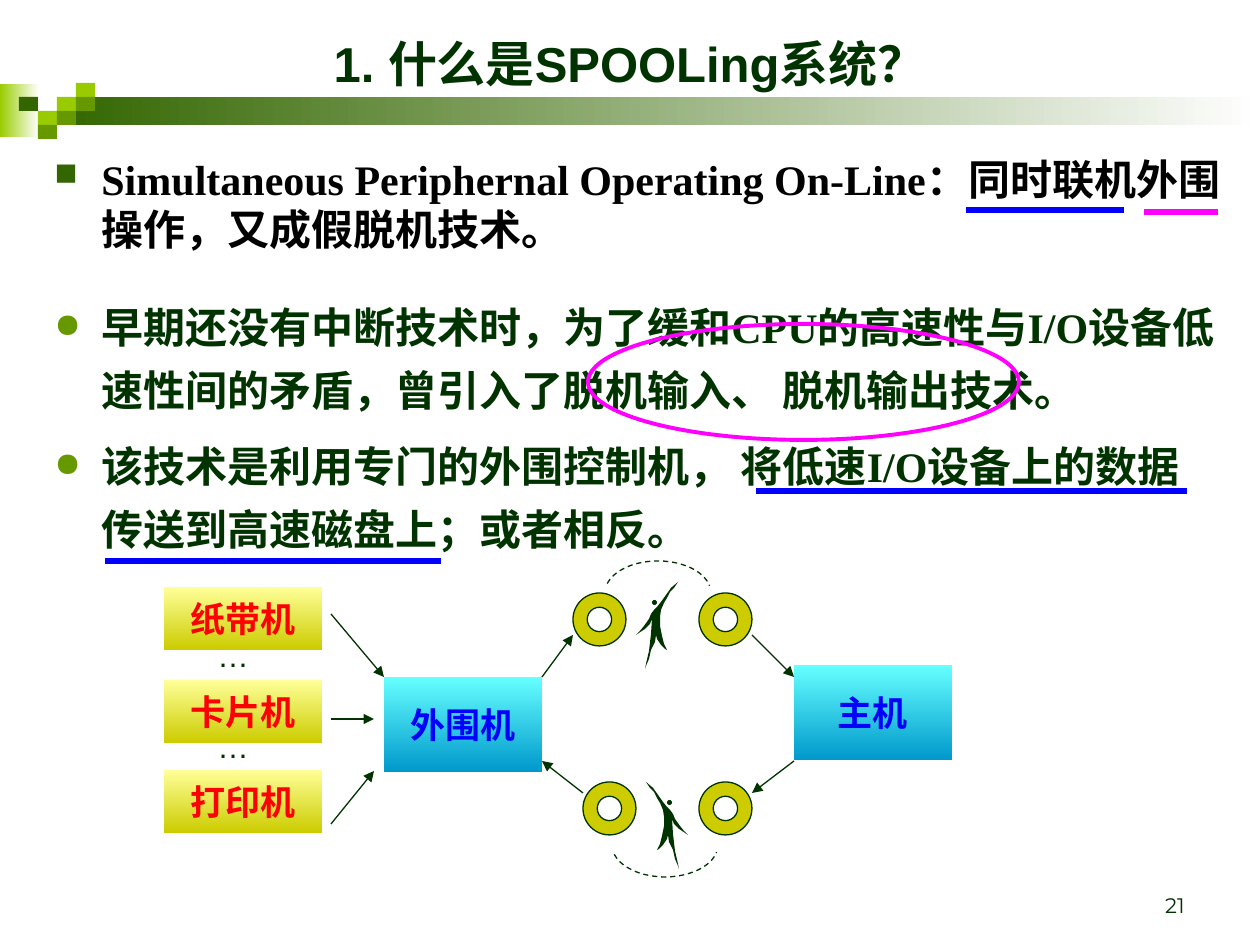
from math import cos, radians, sin
from lxml.etree import SubElement
from pptx import Presentation
from pptx.dml.color import RGBColor
from pptx.enum.dml import MSO_LINE
from pptx.enum.shapes import MSO_CONNECTOR, MSO_SHAPE as SHAPE
from pptx.enum.text import MSO_ANCHOR as ANCHOR, PP_ALIGN as ALIGN
from pptx.oxml.ns import qn
from pptx.util import Pt

PX = 914400 / 126
DARK, BLUE, PINK = "003300", "0000FF", "FF00FF"
OLIVE, LIME, GREEN = "336600", "99CC00", "669900"
HEAD = dict(name="Arial", size=Pt(28), bold=True)
LABEL = dict(name="Arial", size=Pt(20), bold=True)
BODY = dict(name="Times New Roman", size=Pt(24), bold=True)
DOTS = dict(name="Arial", size=Pt(18))
PAGE = dict(name="Montserrat", size=Pt(12))

# Body outline of a leaping person, in a 42 by 87 box
MAN = [(42, 0), (40, 3), (38, 6), (34, 10), (31, 16), (28, 21), (25, 28), (24, 35),
       (24, 44), (26, 54), (28, 62), (31, 68), (29, 67), (25, 63), (21, 57), (20, 53),
       (19, 60), (15, 68), (13, 77), (10, 84), (9, 87), (10, 82), (13, 69), (15, 52),
       (16, 37), (14, 42), (9, 47), (0, 53), (4, 49), (8, 44), (13, 37), (15, 32),
       (18, 28), (21, 25), (25, 20), (30, 13), (35, 6)]


def px(*vals):
    return [round(v * PX) for v in vals]


def color(code):
    return RGBColor.from_string(code)


def paint(shape, fill=None, line=None, width=0.75):
    """Fill with one colour, or with (first, last, angle) as a gradient."""
    shape.shadow.inherit = False
    if fill is None:
        shape.fill.background()
    elif isinstance(fill, tuple):
        shape.fill.gradient()
        shape.fill.gradient_angle = fill[2]
        for stop, code in zip(shape.fill.gradient_stops, fill):
            stop.color.rgb = color(code)
    else:
        shape.fill.solid()
        shape.fill.fore_color.rgb = color(fill)
    if line:
        shape.line.color.rgb = color(line)
        shape.line.width = Pt(width)
    else:
        shape.line.fill.background()
    return shape


def draw(slide, kind, box, **look):
    return paint(slide.shapes.add_shape(kind, *px(*box)), **look)


def outline(slide, pts, close, **look):
    pts = [(x * 10, y * 10) for x, y in pts]
    pen = slide.shapes.build_freeform(*pts[0], scale=PX / 10)
    pen.add_line_segments(pts[1:], close=close)
    return paint(pen.convert_to_shape(), **look)


def stroke(slide, start, end, code, width, arrow=False):
    line = slide.shapes.add_connector(MSO_CONNECTOR.STRAIGHT, *px(*start, *end))
    line.line.color.rgb = color(code)
    line.line.width = Pt(width)
    if arrow:
        SubElement(line.line._get_or_add_ln(), qn("a:tailEnd"), type="triangle")
    SubElement(line._element.spPr, qn("a:effectLst"))


def style(para, font, code, align=None):
    para.alignment = align
    for key, val in font.items():
        setattr(para.font, key, val)
    para.font.color.rgb = color(code)


def write(shape, text, font, code, align=None, anchor=ANCHOR.TOP, wrap=True):
    frame = shape.text_frame
    frame.word_wrap = wrap
    frame.vertical_anchor = anchor
    frame.text = text
    for para in frame.paragraphs:
        style(para, font, code, align)


def bullets(slide, box, items, mark, tint, pct, code, gap=None, space=None):
    frame = slide.shapes.add_textbox(*px(*box)).text_frame
    frame.word_wrap = True
    frame.text = "\n".join(items)
    for i, para in enumerate(frame.paragraphs):
        para.line_spacing = space
        if i:
            para.space_before = gap
        props = para._p.get_or_add_pPr()
        left, = px(47)
        props.set("marL", str(left))
        props.set("indent", str(-left))
        SubElement(SubElement(props, qn("a:buClr")), qn("a:srgbClr"), val=tint)
        SubElement(props, qn("a:buSzPct"), val=str(pct * 1000))
        SubElement(props, qn("a:buChar"), char=mark)
        style(para, BODY, code)


def banner(slide, x, y):
    draw(slide, SHAPE.RECTANGLE, (x, y + 1, 39, 53), fill=(LIME, "FFFFFF", 0))
    draw(slide, SHAPE.RECTANGLE, (x + 57, y + 14, 1203, 28), fill=(OLIVE, "FFFFFF", 0))
    cells = [(3, 1, LIME), (4, 0, LIME), (4, 1, GREEN), (2, 2, LIME),
             (1, 1, OLIVE), (3, 2, GREEN), (2, 3, GREEN)]
    for col, row, code in cells:
        draw(slide, SHAPE.RECTANGLE, (x + 19 * col, y + 14 * row, 19, 14), fill=code)


def heading(slide, box):
    title = slide.shapes.title
    title.left, title.top, title.width, title.height = px(*box)
    write(title, "1. 什么是SPOOLing系统？", HEAD, DARK, ALIGN.CENTER, ANCHOR.MIDDLE)


def notes(slide, x, y):
    bullets(slide, (x, y, 1218, 665),
            ["Simultaneous Periphernal Operating On-Line：同时联机外围操作，又成假脱机技术。"],
            "■", OLIVE, 75, "000000")
    bullets(slide, (x, y + 136, 1187, 273),
            ["早期还没有中断技术时，为了缓和CPU的高速性与I/O设备低速性间的矛盾，"
             "曾引入了脱机输入、 脱机输出技术。",
             "该技术是利用专门的外围控制机， 将低速I/O设备上的数据传送到高速磁盘上；或者相反。"],
            "●", GREEN, 80, DARK, Pt(7.5), 1.25)
    # Underlines and ring
    for left, top, wide, code in [(924, 63, 158, BLUE), (1102, 65, 74, PINK),
                                  (714, 344, 431, BLUE), (63, 414, 336, BLUE)]:
        stroke(slide, (x + left, y + top), (x + left + wide, y + top), code, 3)
    draw(slide, SHAPE.OVAL, (x + 546, y + 177, 431, 116), line=PINK, width=2.25)


def block(slide, box, text, fill, code):
    shape = draw(slide, SHAPE.RECTANGLE, box, fill=fill)
    write(shape, text, LABEL, code, ALIGN.CENTER, ANCHOR.MIDDLE, False)


def person(slide, x, y, flip=False):
    pts = [(x + (42 - a if flip else a), y + b) for a, b in MAN]
    outline(slide, pts, True, fill=DARK)
    draw(slide, SHAPE.OVAL, (x + (21 if flip else 16), y + 18, 5, 5), fill=DARK)


def arc(slide, x, y, way):
    turns = [radians(a) for a in range(197, 348, 5)]
    pts = [(x + 53 * cos(t), y + way * 32 * sin(t)) for t in turns]
    curve = outline(slide, pts, False, line=DARK)
    curve.line.dash_style = MSO_LINE.DASH


def diagram(slide, x, y):
    # Input devices
    for top, text in [(27, "纸带机"), (120, "卡片机"), (210, "打印机")]:
        block(slide, (x, y + top, 158, 63), text, ("FFFF99", "CCCC00", 270), "FF0000")
    for top in (70, 161):
        dots = slide.shapes.add_textbox(*px(x + 41, y + top, 57, 50))
        write(dots, "…", DOTS, DARK, wrap=False)
    # Computers
    for left, top, text in [(630, 105, "主机"), (220, 117, "外围机")]:
        block(slide, (x + left, y + top, 158, 95), text, ("66FFFF", "0099CC", 270), BLUE)
    # Tape reels
    for left, top in [(409, 33), (535, 33), (419, 222), (535, 222)]:
        reel = draw(slide, SHAPE.DONUT, (x + left, y + top, 53, 53),
                    fill="CCCC00", line=DARK)
        reel.adjustments[0] = 0.27
    # Data flow
    for a, b, c, d in [(167, 54, 220, 117), (167, 264, 210, 211), (167, 159, 210, 159),
                       (378, 117, 409, 75), (588, 75, 630, 117),
                       (630, 201, 588, 233), (419, 233, 378, 201)]:
        stroke(slide, (x + a, y + b), (x + c, y + d), DARK, 0.75, True)
    # Operators carrying the reels
    arc(slide, x + 494, y + 33, 1)
    arc(slide, x + 501, y + 285, -1)
    person(slide, x + 472, y + 22)
    person(slide, x + 482, y + 222, True)


def main():
    deck = Presentation()
    deck.slide_width, deck.slide_height = px(1260, 945)
    slide = deck.slides.add_slide(deck.slide_layouts[5])
    banner(slide, 0, 83)
    heading(slide, (63, 21, 1134, 84))
    notes(slide, 42, 147)
    diagram(slide, 164, 560)
    page = slide.shapes.add_textbox(*px(903, 861, 294, 63))
    write(page, "21", PAGE, DARK, ALIGN.RIGHT, ANCHOR.BOTTOM)
    deck.save("out.pptx")


if __name__ == "__main__":
    main()
